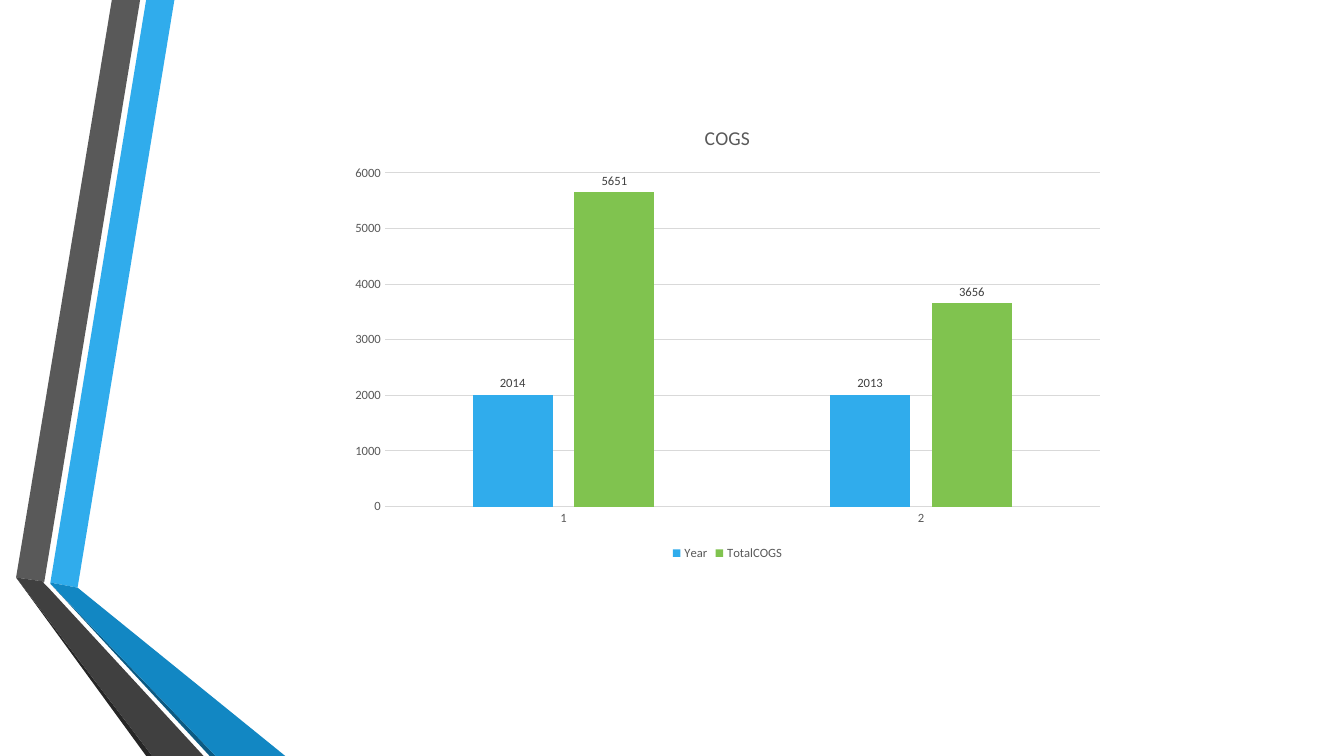
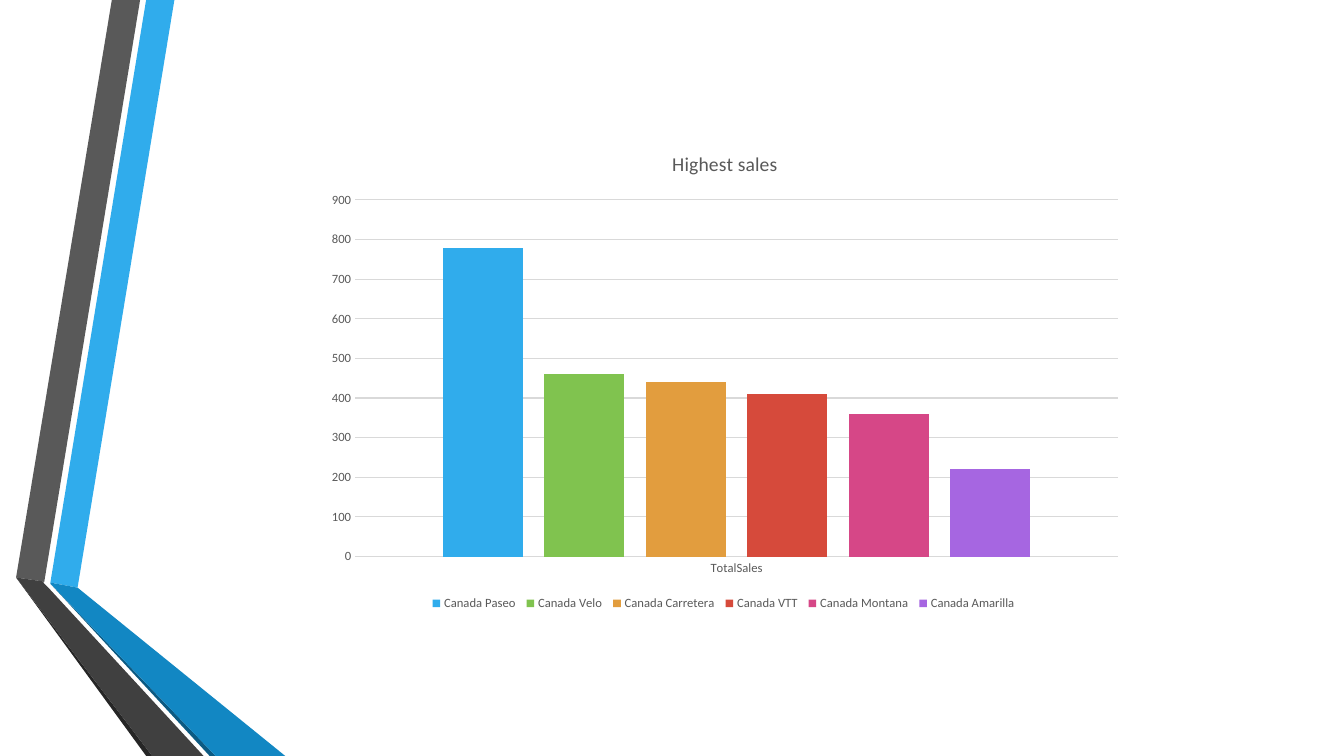
from pptx import Presentation
from pptx.chart.data import CategoryChartData
from pptx.dml.color import RGBColor
from pptx.enum.chart import XL_CHART_TYPE, XL_LABEL_POSITION, XL_LEGEND_POSITION, XL_TICK_MARK
from pptx.util import Inches, Pt

HEX = {
    "blue": "30ACEC", "green": "80C34F", "gold": "E29D3E",
    "red": "D64A3B", "pink": "D64787", "plum": "A666E1",
    "sea": "1287C3", "navy": "0C5A82",
    "grey": "595959", "dark": "404040", "coal": "262626", "pale": "D9D9D9",
}
FACE = "Calibri"
HUES = ["blue", "green", "gold", "red", "pink", "plum"]

# Bands of the master: colour and corner points in hundredths of an inch
BANDS = [
    ("blue", [(50, 578), (77, 583), (173, 0), (145, 0)]),
    ("grey", [(139, 0), (111, 0), (16, 573), (44, 577)]),
    ("coal", [(16, 573), (145, 750), (151, 750)]),
    ("navy", [(50, 579), (208, 750), (214, 750)]),
    ("sea", [(50, 578), (50, 579), (214, 750), (283, 750), (77, 583)]),
    ("dark", [(202, 750), (48, 583), (43, 578), (44, 577), (16, 573), (151, 750)]),
]

# Charts: title, box in inches, categories, series, labels, axis top and step
CHARTS = [
    ("COGS", (3.37, 1.05, 7.69, 4.55), ["1", "2"],
     [("Year", [2014, 2013]), ("TotalCOGS", [5651, 3656])], True, 6000, 1000),
    ("Highest sales", (3.13, 1.31, 8.12, 4.79), ["TotalSales"],
     [("Canada Paseo ", [780]), ("Canada Velo ", [460]), ("Canada Carretera ", [440]),
      ("Canada VTT ", [410]), ("Canada Montana ", [360]), ("Canada Amarilla ", [220])],
     False, 900, 100),
]


def tint(name):
    return RGBColor.from_string(HEX[name])


def style(font, size, hue):
    font.name = FACE
    font.size = Pt(size)
    font.bold = False
    font.color.rgb = tint(hue)


deck = Presentation()
deck.slide_width, deck.slide_height = Inches(13.33), Inches(7.5)
blank = deck.slide_layouts[6]
slides = [deck.slides.add_slide(blank) for _ in CHARTS]

# Bands are drawn once, grouped and moved to the master
shapes = slides[0].shapes
parts = []
for hue, spots in BANDS:
    pen = shapes.build_freeform(*spots[0], scale=Inches(0.01))
    pen.add_line_segments(spots[1:], close=True)
    band = pen.convert_to_shape()
    band.shadow.inherit = False
    band.fill.solid()
    band.fill.fore_color.rgb = tint(hue)
    band.line.fill.background()
    parts.append(band)
group = shapes.add_group_shape(parts)
deck.slide_master.shapes.element.append(group.element)

# One column chart per slide
for slide, (title, box, cats, rows, tags, top, step) in zip(slides, CHARTS):
    data = CategoryChartData()
    data.categories = cats
    for name, vals in rows:
        data.add_series(name, vals)
    frame = slide.shapes.add_chart(
        XL_CHART_TYPE.COLUMN_CLUSTERED, *[Inches(side) for side in box], data)
    chart = frame.chart
    style(chart.font, 9, "grey")

    # Title and legend
    chart.has_title = True
    run = chart.chart_title.text_frame.paragraphs[0].add_run()
    run.text = title
    style(run.font, 14, "grey")
    chart.chart_title.include_in_layout = False
    chart.has_legend = True
    chart.legend.position = XL_LEGEND_POSITION.BOTTOM
    chart.legend.include_in_layout = False
    style(chart.legend.font, 9, "grey")

    # Axes and grid
    cat, val = chart.category_axis, chart.value_axis
    for axis in (cat, val):
        axis.major_tick_mark = axis.minor_tick_mark = XL_TICK_MARK.NONE
        style(axis.tick_labels.font, 9, "grey")
    val.minimum_scale, val.maximum_scale, val.major_unit = 0, top, step
    val.format.line.fill.background()
    for line in (cat.format.line, val.major_gridlines.format.line):
        line.color.rgb = tint("pale")
        line.width = Pt(0.75)

    # Columns and their labels
    plot = chart.plots[0]
    plot.gap_width, plot.overlap = 219, -27
    plot.vary_by_categories = False
    for bar, hue in zip(plot.series, HUES):
        bar.format.fill.solid()
        bar.format.fill.fore_color.rgb = tint(hue)
        bar.invert_if_negative = False
        if tags:
            note = bar.data_labels
            note.show_value = True
            note.position = XL_LABEL_POSITION.OUTSIDE_END
            style(note.font, 9, "dark")

deck.save("out.pptx")
